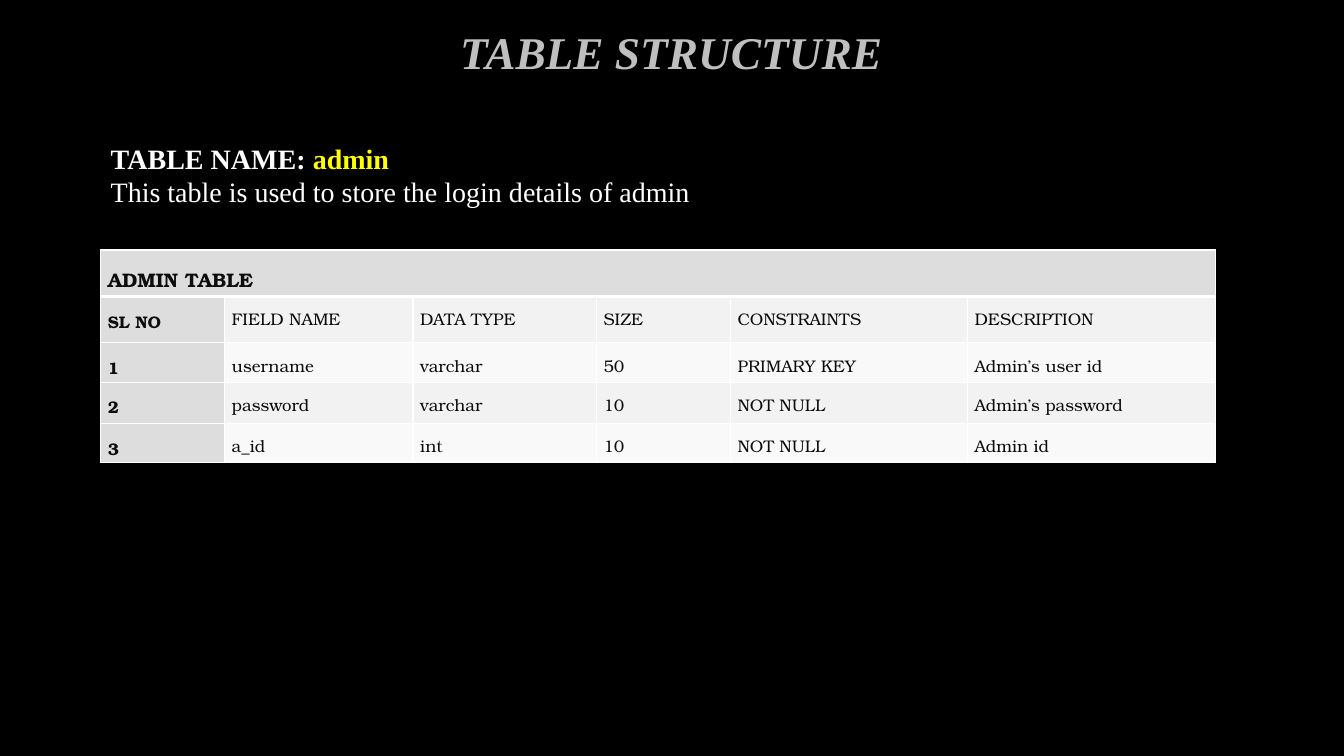
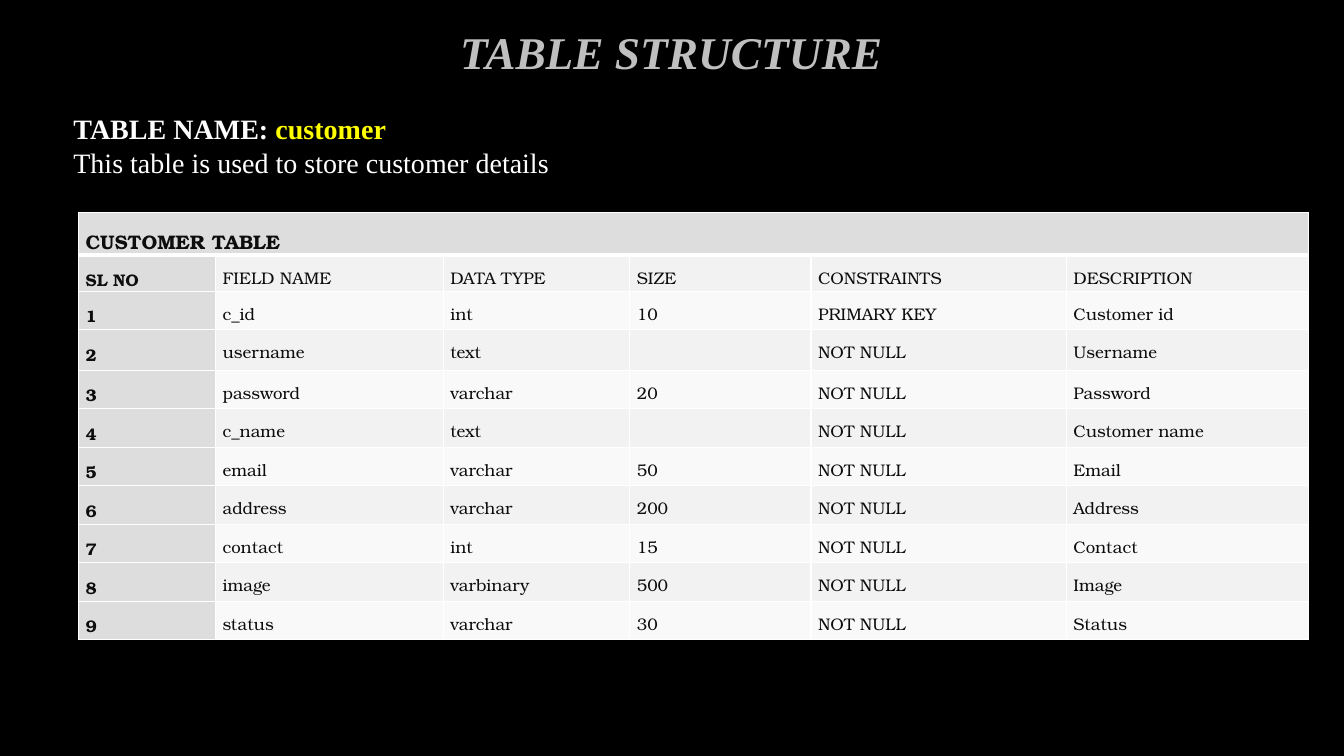
from lxml.etree import SubElement
from pptx import Presentation
from pptx.dml.color import RGBColor
from pptx.enum.text import MSO_ANCHOR, MSO_AUTO_SIZE, PP_ALIGN
from pptx.oxml.ns import qn
from pptx.util import Cm, Pt

BLACK, WHITE, YELLOW, SILVER = "000000", "FFFFFF", "FFFF00", "BFBFBF"
INK, HEAD_FILL, BANDS = "0D0D0D", "DDDDDD", ("F9F9F9", "F2F2F2")
SERIF, BOOK = "Times New Roman", "TeX Gyre Bonum"

TITLE = {"name": SERIF, "size": Pt(32.4), "bold": True, "italic": True}
LABEL = {"name": SERIF, "size": Pt(20), "bold": True}
NOTE = {"name": SERIF, "size": Pt(20), "bold": False}
CAPTION = {"name": BOOK, "size": Pt(14), "bold": True}
ROW_HEAD = {"name": BOOK, "size": Pt(12), "bold": True}
CELL = {"name": BOOK, "size": Pt(12), "bold": False}

HEADINGS = ("SL NO", "FIELD NAME", "DATA TYPE", "SIZE", "CONSTRAINTS", "DESCRIPTION")

# Lengths in centimetres
TABLES = [
    {
        "name": "admin",
        "purpose": "This table is used to store the login details of admin",
        "intro": (2.54, 3.43, 16.7, 1.96),
        "corner": (2.54, 6.3),
        "columns": (3.12, 4.75, 4.62, 3.38, 5.97, 6.25),
        "heights": (1.17, 1.17, 0.99, 1.04, 0.99),
        "fields": [
            ("username", "varchar", "50", "PRIMARY KEY", "Admin’s user id"),
            ("password", "varchar", "10", "NOT NULL", "Admin’s password"),
            ("a_id", "int", "10", "NOT NULL", "Admin id"),
        ],
    },
    {
        "name": "customer",
        "purpose": "This table is used to store customer details",
        "intro": (1.6, 2.68, 15.3, 1.96),
        "corner": (1.98, 5.36),
        "columns": (3.45, 5.74, 4.7, 4.57, 6.43, 6.1),
        "heights": (1.07, 0.91, 0.97, 1.02) + (0.97,) * 7,
        "fields": [
            ("c_id", "int", "10", "PRIMARY KEY", "Customer id"),
            ("username", "text", "", "NOT NULL", "Username"),
            ("password", "varchar", "20", "NOT NULL", "Password"),
            ("c_name", "text", "", "NOT NULL", "Customer name"),
            ("email", "varchar", "50", "NOT NULL", "Email"),
            ("address", "varchar", "200", "NOT NULL", "Address"),
            ("contact", "int", "15", "NOT NULL", "Contact"),
            ("image", "varbinary", "500", "NOT NULL", "Image"),
            ("status", "varchar", "30", "NOT NULL", "Status"),
        ],
    },
]


def paint(fill, color):
    fill.solid()
    fill.fore_color.rgb = RGBColor.from_string(color)


def add_span(para, text, style, color):
    span = para.add_run()
    span.text = text
    for key, value in style.items():
        setattr(span.font, key, value)
    paint(span.font.fill, color)


deck = Presentation()
deck.slide_width, deck.slide_height = Cm(33.87), Cm(19.05)
paint(deck.slide_master.background.fill, BLACK)
layout = deck.slide_layouts.get_by_name("Title Only")
heading = layout.placeholders[0]
heading.left, heading.top, heading.width, heading.height = map(Cm, (2.54, 0.48, 28.75, 1.5))

for entry in TABLES:
    page = deck.slides.add_slide(layout)

    frame = page.shapes.title.text_frame
    frame.vertical_anchor = MSO_ANCHOR.TOP
    frame.auto_size = MSO_AUTO_SIZE.NONE
    frame.paragraphs[0].alignment = PP_ALIGN.CENTER
    add_span(frame.paragraphs[0], "TABLE STRUCTURE", TITLE, SILVER)

    box = page.shapes.add_textbox(*map(Cm, entry["intro"]))
    frame = box.text_frame
    frame.word_wrap = True
    frame.vertical_anchor = MSO_ANCHOR.MIDDLE
    add_span(frame.paragraphs[0], "TABLE NAME: ", LABEL, WHITE)
    add_span(frame.paragraphs[0], entry["name"], LABEL, YELLOW)
    add_span(frame.add_paragraph(), entry["purpose"], NOTE, WHITE)

    rows = [(entry["name"].upper() + " TABLE",) + ("",) * 5, HEADINGS]
    rows += [(str(number), *field) for number, field in enumerate(entry["fields"], 1)]
    columns, heights = entry["columns"], entry["heights"]
    size = (sum(columns), sum(heights))
    table = page.shapes.add_table(
        len(rows), len(columns), *map(Cm, entry["corner"] + size)
    ).table
    for column, width in zip(table.columns, columns):
        column.width = Cm(width)
    for row, height in zip(table.rows, heights):
        row.height = Cm(height)
    table.cell(0, 0).merge(table.cell(0, len(columns) - 1))

    for r, values in enumerate(rows):
        for c, value in enumerate(values):
            cell = table.cell(r, c)
            cell.margin_left = cell.margin_right = Cm(0.18)
            cell.margin_top = cell.margin_bottom = 0
            for side in ("lnL", "lnR", "lnT", "lnB"):
                under_caption = (r, side) in ((0, "lnB"), (1, "lnT"))
                border = SubElement(cell._tc.get_or_add_tcPr(), qn("a:" + side))
                border.set("w", str(Pt(3 if under_caption else 1)))
                border_fill = SubElement(border, qn("a:solidFill"))
                SubElement(border_fill, qn("a:srgbClr")).set("val", WHITE)
            paint(cell.fill, HEAD_FILL if r == 0 or c == 0 else BANDS[r % 2])
            if value:
                style = CAPTION if r == 0 else ROW_HEAD if c == 0 else CELL
                para = cell.text_frame.paragraphs[0]
                para.line_spacing = 1.5
                add_span(para, value, style, INK)

deck.save("out.pptx")
